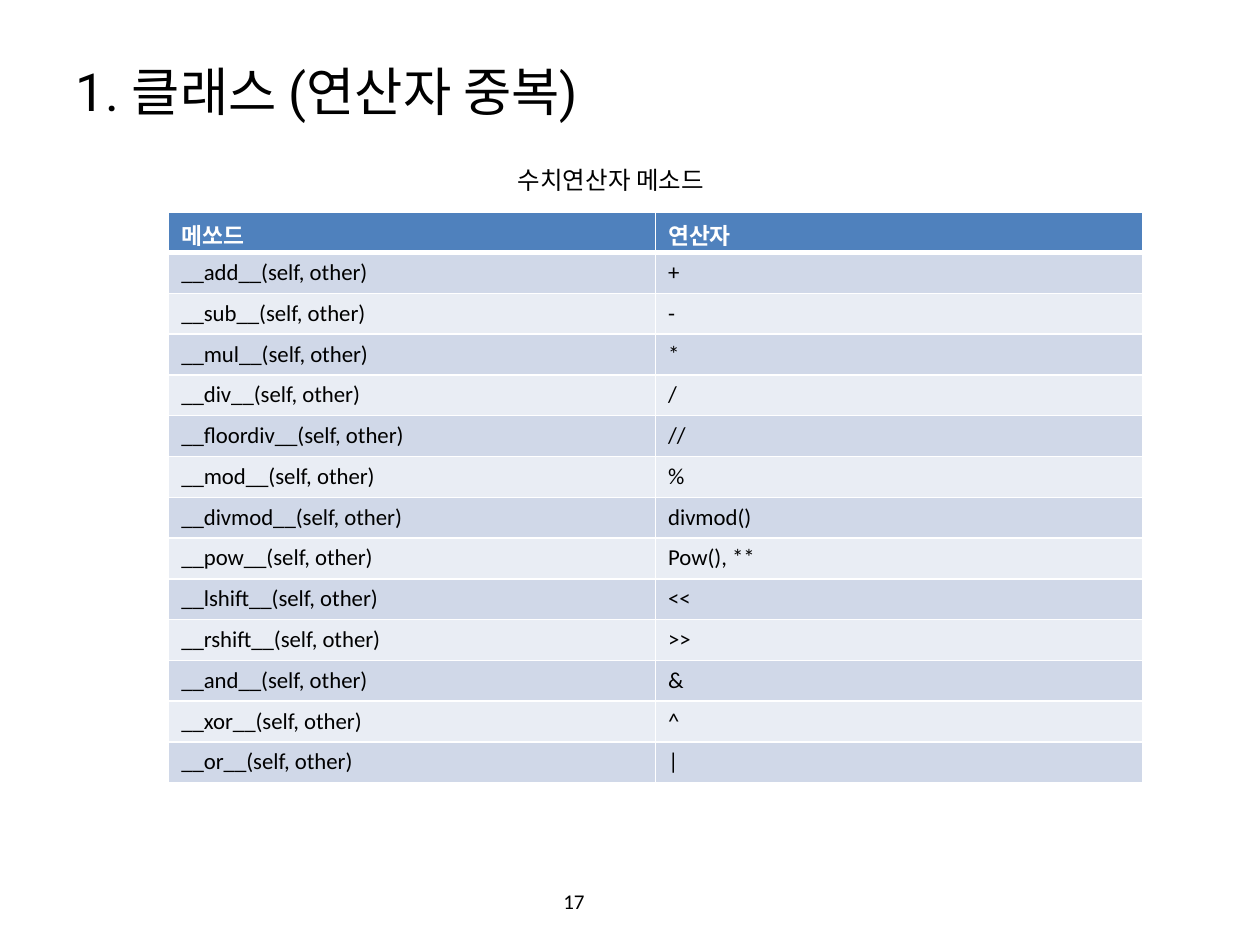
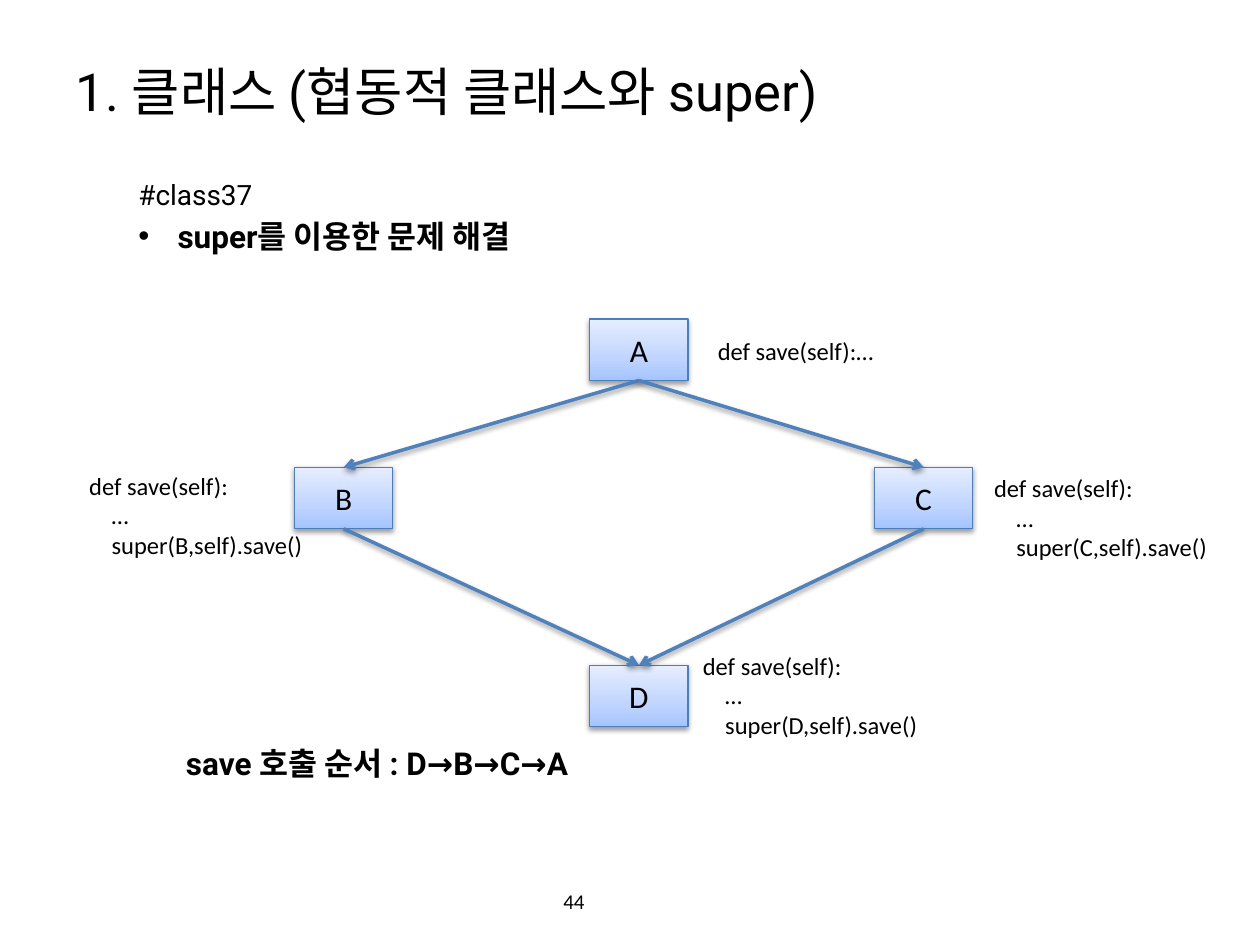
from dataclasses import dataclass

from lxml import etree
from pptx import Presentation
from pptx.dml.color import RGBColor
from pptx.enum import shapes, text
from pptx.oxml import ns
from pptx.util import Cm, Pt


@dataclass(frozen=True)
class Theme:
    heading_font: str = "Roboto"
    body_font: str = "Calibri"
    ink: str = "000000"
    white: str = "FFFFFF"
    accent: str = "4F81BD"
    node_line: str = "4B7EBC"
    node_stops: tuple = ((0, "A4C4FF"), (35, "BFD4FF"), (100, "E6EEFF"))
    bands: tuple = ("D0D8E8", "E9EDF4")
    title_size: int = 30
    lead_size: int = 18
    note_size: int = 16
    code_size: int = 14
    table_size: int = 13
    number_size: int = 12


THEME = Theme()
LEFT, CENTER = text.PP_ALIGN.LEFT, text.PP_ALIGN.CENTER

# Boxes are left, top, width, height in centimetres
TITLE_BOX = (1.27, 0.76, 22.86, 2.13)
NUMBER_BOX = (8.61, 17.65, 5.92, 1.02)
CAPTION_BOX = (10.19, 3.2, 4.98, 1)
TABLE_BOX = (3.4, 4.27, 19.63, 11.52)
INTRO_BOX = (1.27, 3.45, 22.86, 2)
DIAGRAM_ORIGIN = (1.55, 6.43)
ORDER_BOX = (3.5, 14.88, 15, 1.2)

OPERATORS = [
    ("add", "+"), ("sub", "-"), ("mul", "*"), ("div", "/"),
    ("floordiv", "//"), ("mod", "%"), ("divmod", "divmod()"),
    ("pow", "Pow(), **"), ("lshift", "<<"), ("rshift", ">>"),
    ("and", "&"), ("xor", "^"), ("or", "|"),
]

# Class name: node left and top, code left and top, inside the diagram
NODE_SIZE = (1.98, 1.24)
CODE_WIDTH = 5.89
CLASSES = {
    "A": (10.34, 0, 12.67, 0.22),
    "B": (4.39, 2.99, 0, 2.94),
    "C": (16.08, 2.99, 18.24, 2.99),
    "D": (10.34, 6.98, 12.37, 6.57),
}
ARROWS = ["AB", "BD", "AC", "CD"]


# Shared helpers
def cm_box(box):
    return [Cm(length) for length in box]


def add_xml(parent, tag, **attributes):
    element = etree.SubElement(parent, ns.qn(tag))
    for name, value in attributes.items():
        element.set(name, str(value))
    return element


def write(paragraph, content, size, font=THEME.body_font, color=THEME.ink,
          bold=False, align=LEFT, before=0, indent=0, hanging=0, bullet=None):
    run = paragraph.add_run()
    run.text = content
    run.font.size = Pt(size)
    run.font.name = font
    run.font.bold = bold
    run.font.color.rgb = RGBColor.from_string(color)
    paragraph.alignment = align
    paragraph.space_before = Pt(before)
    properties = paragraph._p.get_or_add_pPr()
    properties.set("marL", str(Cm(indent)))
    properties.set("indent", str(Cm(-hanging)))
    if bullet:
        add_xml(properties, "a:buFont", typeface="Arial")
        add_xml(properties, "a:buChar", char=bullet)


def add_text_box(slide, box, lines, anchor=text.MSO_ANCHOR.TOP):
    """Each line is a pair: its words and its format."""
    frame = slide.shapes.add_textbox(*cm_box(box)).text_frame
    frame.word_wrap = True
    frame.vertical_anchor = anchor
    for index, (content, style) in enumerate(lines):
        paragraph = frame.add_paragraph() if index else frame.paragraphs[0]
        write(paragraph, content, **style)


def add_shadow(shape):
    properties = shape._element.spPr
    effects = properties.find(ns.qn("a:effectLst"))
    if effects is None:
        effects = add_xml(properties, "a:effectLst")
    shadow = add_xml(effects, "a:outerShdw", blurRad=Pt(3.1), dist=Pt(1.6),
                     dir=5400000, rotWithShape=0)
    color = add_xml(shadow, "a:srgbClr", val=THEME.ink)
    add_xml(color, "a:alpha", val=38000)


def add_titled_slide(presentation, title, number):
    slide = presentation.slides.add_slide(presentation.slide_layouts[5])
    shape = slide.shapes.title
    shape.left, shape.top, shape.width, shape.height = cm_box(TITLE_BOX)
    frame = shape.text_frame
    frame.vertical_anchor = text.MSO_ANCHOR.MIDDLE
    frame.auto_size = text.MSO_AUTO_SIZE.NONE
    write(frame.paragraphs[0], title, THEME.title_size, THEME.heading_font)
    add_text_box(
        slide, NUMBER_BOX,
        [(number, dict(size=THEME.number_size, align=CENTER))],
        text.MSO_ANCHOR.MIDDLE)
    return slide


# Operator table
def format_cell(cell, content, fill, color, bold, bottom):
    write(cell.text_frame.paragraphs[0], content, THEME.table_size,
          color=color, bold=bold)
    properties = cell._tc.get_or_add_tcPr()
    for side, width in (("L", 1), ("R", 1), ("T", 1), ("B", bottom)):
        line = add_xml(properties, f"a:ln{side}", w=Pt(width))
        add_xml(add_xml(line, "a:solidFill"), "a:srgbClr", val=THEME.white)
    cell.fill.solid()
    cell.fill.fore_color.rgb = RGBColor.from_string(fill)


def add_operator_table(slide, box):
    rows = [("메쏘드", "연산자")]
    rows += [(f"__{name}__(self, other)", sign) for name, sign in OPERATORS]
    table = slide.shapes.add_table(len(rows), 2, *cm_box(box)).table
    for row_index, row in enumerate(rows):
        header = row_index == 0
        fill = THEME.accent if header else THEME.bands[(row_index - 1) % 2]
        color = THEME.white if header else THEME.ink
        for column_index, content in enumerate(row):
            format_cell(table.cell(row_index, column_index), content, fill,
                        color, bold=header, bottom=3 if header else 1)


# Class diagram
def add_node(slide, name, left, top):
    node = slide.shapes.add_shape(shapes.MSO_SHAPE.RECTANGLE,
                                  *cm_box((left, top, *NODE_SIZE)))
    node.shadow.inherit = False
    node.fill.gradient()
    gradient = node._element.spPr.find(ns.qn("a:gradFill"))
    for child in list(gradient):
        gradient.remove(child)
    stops = add_xml(gradient, "a:gsLst")
    for position, color in THEME.node_stops:
        stop = add_xml(stops, "a:gs", pos=position * 1000)
        add_xml(stop, "a:srgbClr", val=color)
    add_xml(gradient, "a:lin", ang=16200000, scaled=0)
    node.line.color.rgb = RGBColor.from_string(THEME.node_line)
    node.line.width = Pt(0.75)
    add_shadow(node)
    node.text_frame.vertical_anchor = text.MSO_ANCHOR.MIDDLE
    write(node.text_frame.paragraphs[0], name, THEME.lead_size, align=CENTER)
    return node


def add_arrow(slide, parent, child):
    arrow = slide.shapes.add_connector(shapes.MSO_CONNECTOR.STRAIGHT, 0, 0, 0, 0)
    arrow.begin_connect(parent, 2)
    arrow.end_connect(child, 0)
    arrow.line.color.rgb = RGBColor.from_string(THEME.accent)
    arrow.line.width = Pt(2)
    add_xml(arrow.line._get_or_add_ln(), "a:tailEnd", type="arrow")
    add_shadow(arrow)


def add_code(slide, name, left, top):
    plain = dict(size=THEME.code_size)
    inner = dict(plain, indent=0.45)
    if name == "A":
        lines = [("def save(self):…", plain)]
    else:
        lines = [("def save(self):", plain), ("…", inner),
                 (f"super({name},self).save()", inner)]
    height = 0.26 + 0.6 * len(lines)
    add_text_box(slide, (left, top, CODE_WIDTH, height), lines)


def add_class_diagram(slide, origin):
    x, y = origin
    nodes = {name: add_node(slide, name, x + left, y + top)
             for name, (left, top, _, _) in CLASSES.items()}
    for parent, child in ARROWS:
        add_arrow(slide, nodes[parent], nodes[child])
    for name, (_, _, left, top) in CLASSES.items():
        add_code(slide, name, x + left, y + top)


# Slides
def build_operator_slide(presentation):
    slide = add_titled_slide(presentation, "1. 클래스 (연산자 중복)", "17")
    caption = dict(size=THEME.code_size, font=THEME.heading_font)
    add_text_box(slide, CAPTION_BOX, [("수치연산자 메소드", caption)])
    add_operator_table(slide, TABLE_BOX)


def build_super_slide(presentation):
    slide = add_titled_slide(
        presentation, "1. 클래스 (협동적 클래스와 super)", "44")
    note = dict(size=THEME.note_size, font=THEME.heading_font, indent=1.27)
    lead = dict(size=THEME.lead_size, font=THEME.heading_font, bold=True)
    point = dict(lead, before=3.6, indent=2.06, hanging=0.79, bullet="•")
    add_text_box(slide, INTRO_BOX, [("#class37", note),
                                    ("super를 이용한 문제 해결", point)])
    add_class_diagram(slide, DIAGRAM_ORIGIN)
    add_text_box(slide, ORDER_BOX, [("save 호출 순서 : D→B→C→A", lead)])


def main():
    presentation = Presentation()
    presentation.slide_width, presentation.slide_height = Cm(25.4), Cm(19.05)
    build_operator_slide(presentation)
    build_super_slide(presentation)
    presentation.save("out.pptx")


if __name__ == "__main__":
    main()
